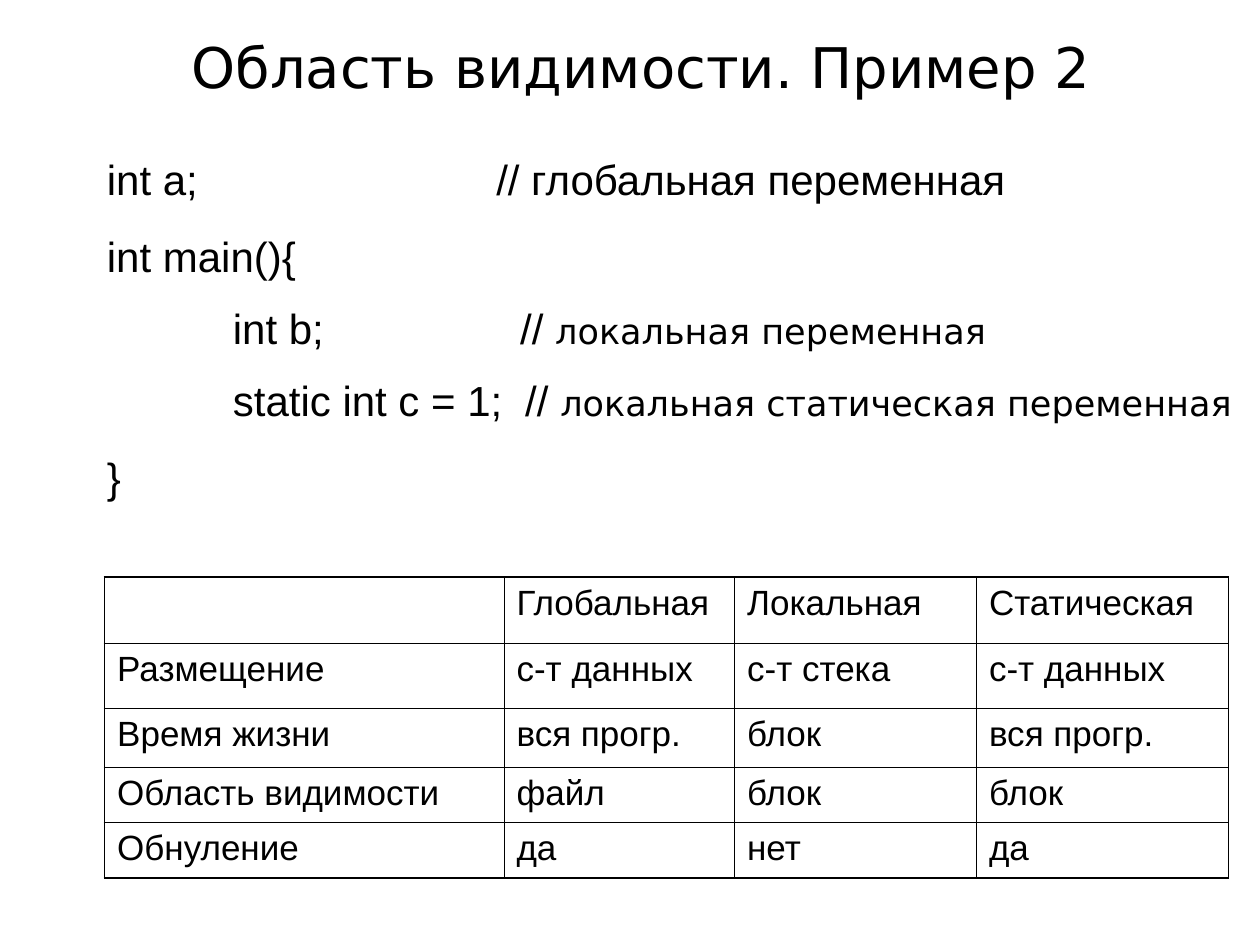
import pptx
import pptx.dml.color
import pptx.enum.text
import pptx.oxml.ns
import pptx.util
from lxml import etree
from pptx.util import Inches

COLORS = {"text": "000000", "border": "000000"}
BODY_FONT, CYRILLIC_FONT = "Arial", "DejaVu Sans"
qn = pptx.oxml.ns.qn


def style_font(font, size, name):
    font.size = pptx.util.Pt(size)
    font.name = name
    font.color.rgb = pptx.dml.color.RGBColor.from_string(COLORS["text"])


def set_borders(cell, widths):
    """Draw the left, right, top and bottom borders, widths in points."""
    properties = cell._tc.get_or_add_tcPr()
    for position, (side, width) in enumerate(zip("LRTB", widths)):
        line = etree.Element(qn("a:ln" + side), w=str(pptx.util.Pt(width)))
        fill = etree.SubElement(line, qn("a:solidFill"))
        etree.SubElement(fill, qn("a:srgbClr"), val=COLORS["border"])
        properties.insert(position, line)


presentation = pptx.Presentation()
presentation.slide_width = Inches(10)
presentation.slide_height = Inches(7.5)
slide = presentation.slides.add_slide(presentation.slide_layouts[5])

# Title
title = slide.shapes.title
title.left, title.top = Inches(1.42), Inches(0.2)
title.width, title.height = Inches(8.93), Inches(0.64)
title.text_frame.text = "Область видимости. Пример 2"
title.text_frame.vertical_anchor = pptx.enum.text.MSO_ANCHOR.BOTTOM
title.text_frame.auto_size = pptx.enum.text.MSO_AUTO_SIZE.NONE
heading = title.text_frame.paragraphs[0]
heading.alignment = pptx.enum.text.PP_ALIGN.LEFT
style_font(heading.font, 32, CYRILLIC_FONT)

# Code example: code, comment in the second font, space before, tab stops
code_lines = [
    ("int a;\t// глобальная переменная", "", 15, [3.09]),
    ("int main(){", "", 15, []),
    ("\tint b;\t// ", "локальная переменная", 12.5, [1, 3.28]),
    ("\tstatic int c = 1;\t// ", "локальная статическая переменная", 12.5, [1, 3.32]),
    ("}", "", 15, []),
]
code = slide.shapes.add_textbox(Inches(0.75), Inches(1.17), Inches(9.25), Inches(2.87)).text_frame
code.word_wrap = True
for index, (statement, comment, space, stops) in enumerate(code_lines):
    line = code.paragraphs[0] if index == 0 else code.add_paragraph()
    line.space_before = pptx.util.Pt(space)
    for text, size, font_name in ((statement, 24, BODY_FONT), (comment, 20, CYRILLIC_FONT)):
        if text:
            run = line.add_run()
            run.text = text
            style_font(run.font, size, font_name)
    if stops:
        tab_list = etree.SubElement(line._p.get_or_add_pPr(), qn("a:tabLst"))
        for stop in stops:
            etree.SubElement(tab_list, qn("a:tab"), pos=str(Inches(stop)), algn="l")

# Comparison of the variables
comparison = [
    ["", "Глобальная", "Локальная", "Статическая"],
    ["Размещение", "с-т данных", "с-т стека", "с-т данных"],
    ["Время жизни", "вся прогр.", "блок", "вся прогр."],
    ["Область видимости", "файл", "блок", "блок"],
    ["Обнуление", "да", "нет", "да"],
]
column_widths = [3.17, 1.83, 1.92, 2]
row_heights = [0.53, 0.51, 0.47, 0.44, 0.44]
INNER, OUTER = 0.45, 1.08
last_row, last_column = len(row_heights) - 1, len(column_widths) - 1
table = slide.shapes.add_table(
    len(row_heights), len(column_widths), Inches(0.83), Inches(4.58),
    Inches(sum(column_widths)), Inches(sum(row_heights))).table
table.first_row = table.horz_banding = False
for column, width in zip(table.columns, column_widths):
    column.width = Inches(width)
for row, height in zip(table.rows, row_heights):
    row.height = Inches(height)
for r, values in enumerate(comparison):
    for c, value in enumerate(values):
        cell = table.cell(r, c)
        cell.text = value
        cell.fill.background()
        entry = cell.text_frame.paragraphs[0]
        entry.space_before = pptx.util.Pt(5)
        style_font(entry.font, 20, BODY_FONT)
        on_edge = (c == 0, c == last_column, r == 0, r == last_row)
        set_borders(cell, [OUTER if edge else INNER for edge in on_edge])

presentation.save("out.pptx")
